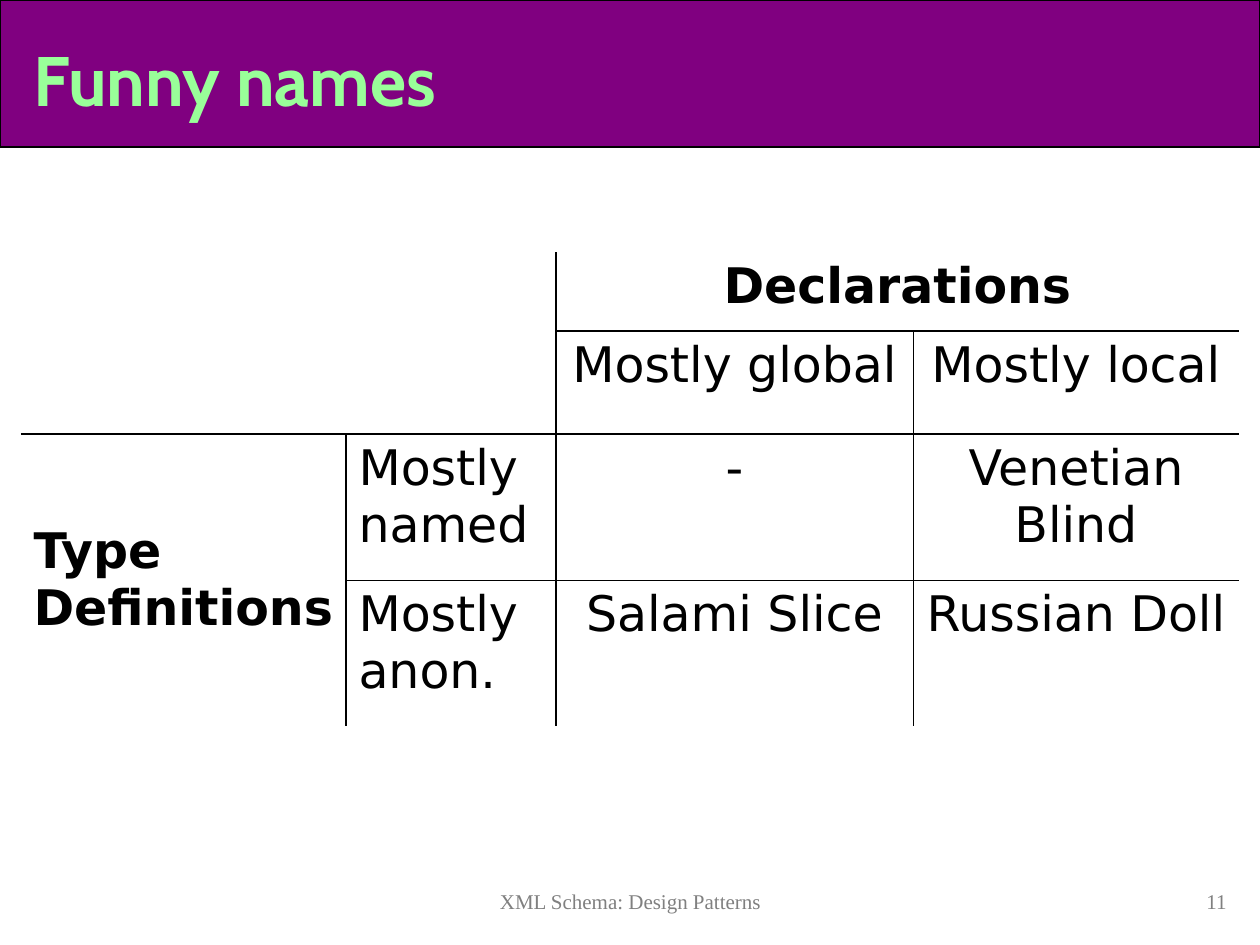
from lxml.etree import SubElement
from pptx import Presentation
from pptx.dml.color import RGBColor
from pptx.enum.shapes import MSO_SHAPE
from pptx.enum.text import MSO_ANCHOR, PP_ALIGN
from pptx.oxml.ns import qn
from pptx.util import Emu, Pt

PX = 914400 // 126  # one px in EMU


def color(value):
    return RGBColor.from_string(value)


def write(frame, text, align, **font_format):
    frame.word_wrap = True
    paragraph = frame.paragraphs[0]
    paragraph.alignment = align
    run = paragraph.add_run()
    run.text = text
    run.font.color.rgb = color(font_format.pop("ink"))
    for key, value in font_format.items():
        setattr(run.font, key, value)


deck = Presentation()
deck.slide_width, deck.slide_height = Emu(1260 * PX), Emu(945 * PX)
slide = deck.slides.add_slide(deck.slide_layouts[5])

# Header band, behind the title
band = slide.shapes.add_shape(MSO_SHAPE.RECTANGLE, 0, 0, 1260 * PX, 147 * PX)
band.shadow.inherit = False
band.fill.solid()
band.fill.fore_color.rgb = color("800080")
band.line.color.rgb = color("000000")
band.line.width = Pt(0.75)
slide.shapes._spTree.insert(2, band._element)

# Title
title = slide.shapes.title
title_box = {"left": 21, "top": 21, "width": 1207, "height": 116}
for key, value in title_box.items():
    setattr(title, key, Emu(value * PX))
title.text_frame.vertical_anchor = MSO_ANCHOR.MIDDLE
write(title.text_frame, "Funny names", PP_ALIGN.LEFT,
      name="Cabin", size=Pt(40), bold=True, ink="99FF99")

# Pattern table: type definitions by declarations
column_widths = [325, 210, 357, 326]
row_heights = [79, 103, 146, 146]
patterns = slide.shapes.add_table(
    4, 4, 21 * PX, 252 * PX, sum(column_widths) * PX, sum(row_heights) * PX).table
patterns.first_row = patterns.horz_banding = False
for column, width in zip(patterns.columns, column_widths):
    column.width = Emu(width * PX)
for row, height in zip(patterns.rows, row_heights):
    row.height = Emu(height * PX)

# Grid line n: the first crossing row or column it covers, and its weight.
# The same rule holds for vertical and horizontal lines.
grid_lines = {1: (2, 1.08), 2: (0, 1.08), 3: (1, 0.45)}
for r in range(4):
    for c in range(4):
        cell = patterns.cell(r, c)
        cell_format = cell._tc.get_or_add_tcPr()
        edges = {"a:lnL": (c, r), "a:lnR": (c + 1, r),
                 "a:lnT": (r, c), "a:lnB": (r + 1, c)}
        for tag, (line, crossing) in edges.items():
            start, weight = grid_lines.get(line, (4, 0))
            edge = SubElement(cell_format, qn(tag), w=str(Pt(weight)))
            if crossing >= start:
                fill = SubElement(edge, qn("a:solidFill"))
                SubElement(fill, qn("a:srgbClr"), val="000000")
            else:
                SubElement(edge, qn("a:noFill"))
        cell.fill.background()

for first, last in [((0, 0), (1, 1)), ((0, 2), (0, 3)), ((2, 0), (3, 0))]:
    patterns.cell(*first).merge(patterns.cell(*last))

labels = [
    ["", "", "Declarations", ""],
    ["", "", "Mostly global", "Mostly local"],
    ["Type Definitions", "Mostly named", "-", "Venetian Blind"],
    ["", "Mostly anon.", "Salami Slice", "Russian Doll"],
]
for r, row_labels in enumerate(labels):
    for c, label in enumerate(row_labels):
        if label:
            write(patterns.cell(r, c).text_frame, label,
                  PP_ALIGN.CENTER if c >= 2 else PP_ALIGN.LEFT,
                  name="DejaVu Sans", size=Pt(28), bold=r == 0 or c == 0, ink="000000")
patterns.cell(2, 0).vertical_anchor = MSO_ANCHOR.MIDDLE

# Footer and slide number
for left, width, text, align in [
        (305, 651, "XML Schema: Design Patterns", PP_ALIGN.CENTER),
        (977, 262, "11", PP_ALIGN.RIGHT)]:
    footer = slide.shapes.add_textbox(left * PX, 882 * PX, width * PX, 42 * PX)
    write(footer.text_frame, text, align,
          name="Times New Roman", size=Pt(12), ink="808080")

deck.save("out.pptx")
